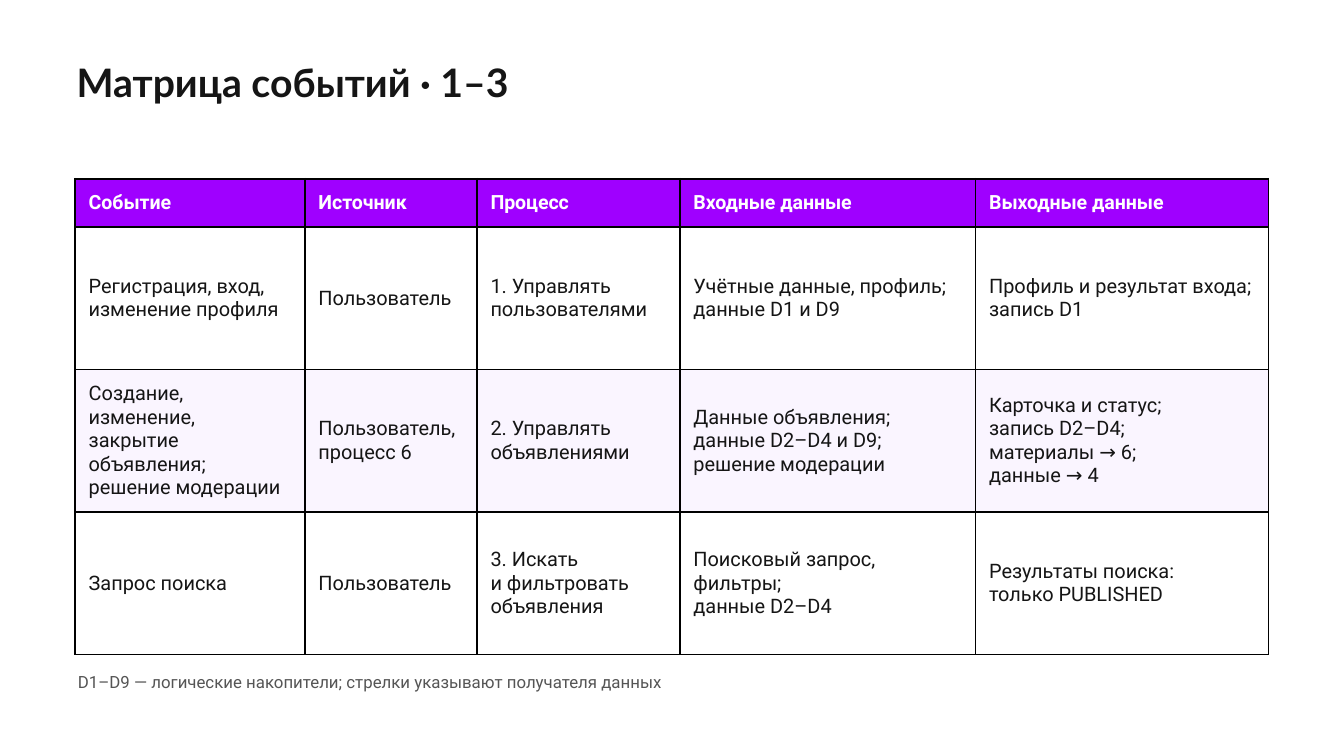
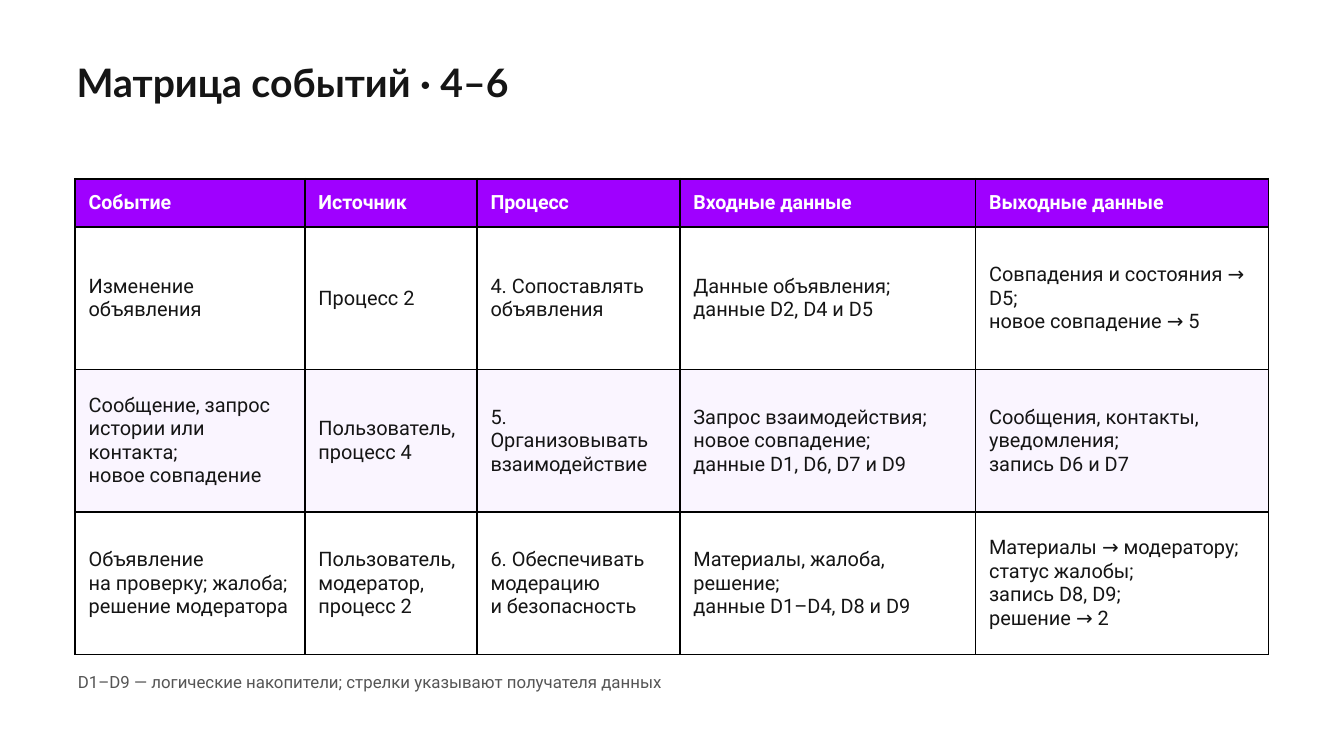
from lxml.etree import SubElement
from pptx import Presentation
from pptx.dml.color import RGBColor
from pptx.enum.text import MSO_ANCHOR, MSO_AUTO_SIZE, PP_ALIGN
from pptx.oxml.ns import qn
from pptx.util import Inches, Pt

# Shared style
HEAD_FONT, BODY_FONT = "Lato", "Roboto"
INK, WHITE, PURPLE, LILAC, GREY, BLACK = (
    "151515", "FFFFFF", "9F00FF", "FAF5FF", "555555", "000000")
COLS = [1.71, 1.28, 1.51, 2.2, 2.18]
ROWS = [0.36, 1.06, 1.06, 1.06]
HEADER = ["Событие", "Источник", "Процесс", "Входные данные", "Выходные данные"]
NOTE = "D1–D9 — логические накопители; стрелки указывают получателя данных"

# Slide content: title and table rows, one line of a cell per paragraph
SLIDES = [
    ("Матрица событий · 1–3", [
        ["Регистрация, вход,\nизменение профиля",
         "Пользователь",
         "1. Управлять\nпользователями",
         "Учётные данные, профиль;\nданные D1 и D9",
         "Профиль и результат входа;\nзапись D1"],
        ["Создание, изменение,\nзакрытие объявления;\nрешение модерации",
         "Пользователь,\nпроцесс 6",
         "2. Управлять\nобъявлениями",
         "Данные объявления;\nданные D2–D4 и D9;\nрешение модерации",
         "Карточка и статус;\nзапись D2–D4;\nматериалы → 6;\nданные → 4"],
        ["Запрос поиска",
         "Пользователь",
         "3. Искать\nи фильтровать\nобъявления",
         "Поисковый запрос, фильтры;\nданные D2–D4",
         "Результаты поиска:\nтолько PUBLISHED"],
    ]),
    ("Матрица событий · 4–6", [
        ["Изменение\nобъявления",
         "Процесс 2",
         "4. Сопоставлять\nобъявления",
         "Данные объявления;\nданные D2, D4 и D5",
         "Совпадения и состояния → D5;\nновое совпадение → 5"],
        ["Сообщение, запрос\nистории или контакта;\nновое совпадение",
         "Пользователь,\nпроцесс 4",
         "5. Организовывать\nвзаимодействие",
         "Запрос взаимодействия;\nновое совпадение;\nданные D1, D6, D7 и D9",
         "Сообщения, контакты,\nуведомления;\nзапись D6 и D7"],
        ["Объявление\nна проверку; жалоба;\nрешение модератора",
         "Пользователь,\nмодератор,\nпроцесс 2",
         "6. Обеспечивать\nмодерацию\nи безопасность",
         "Материалы, жалоба, решение;\nданные D1–D4, D8 и D9",
         "Материалы → модератору;\nстатус жалобы;\nзапись D8, D9;\nрешение → 2"],
    ]),
]


def rgb(value):
    return RGBColor.from_string(value)


def write(tf, text, font, size, color, bold=False):
    tf.word_wrap = True
    tf.vertical_anchor = MSO_ANCHOR.MIDDLE
    for i, line in enumerate(text.split("\n")):
        p = tf.add_paragraph() if i else tf.paragraphs[0]
        p.alignment = PP_ALIGN.LEFT
        r = p.add_run()
        r.text = line
        r.font.name, r.font.size, r.font.bold = font, Pt(size), bold
        r.font.color.rgb = rgb(color)


# 16:9 slide
prs = Presentation()
prs.slide_width = Inches(10)
prs.slide_height = prs.slide_width * 9 // 16

for title, body in SLIDES:
    s = prs.slides.add_slide(prs.slide_layouts[5])
    s.background.fill.solid()
    s.background.fill.fore_color.rgb = rgb(WHITE)

    # Title
    sp = s.shapes.title
    sp.left, sp.top, sp.width, sp.height = map(Inches, (0.57, 0.29, 7.19, 0.64))

    # Event table
    table = s.shapes.add_table(len(ROWS), len(COLS), Inches(0.56), Inches(1.33),
                               Inches(sum(COLS)), Inches(sum(ROWS))).table
    for col, width in zip(table.columns, COLS):
        col.width = Inches(width)
    for row, height in zip(table.rows, ROWS):
        row.height = Inches(height)
    for i, texts in enumerate([HEADER] + body):
        for j, text in enumerate(texts):
            cell = table.cell(i, j)
            cell.vertical_anchor = MSO_ANCHOR.MIDDLE
            if i == 0:
                write(cell.text_frame, text, BODY_FONT, 10.5, WHITE, True)
            else:
                write(cell.text_frame, text, BODY_FONT, 10.7, INK)
            # Borders go before the fill
            tcPr = cell._tc.get_or_add_tcPr()
            for side in ("a:lnL", "a:lnR", "a:lnT", "a:lnB"):
                ln = SubElement(tcPr, qn(side), w=str(Pt(1)))
                fill = SubElement(ln, qn("a:solidFill"))
                SubElement(fill, qn("a:srgbClr"), val=BLACK)
            cell.fill.solid()
            cell.fill.fore_color.rgb = rgb(
                PURPLE if i == 0 else LILAC if i == 2 else WHITE)

    # Footnote, and text of title and footnote
    note = s.shapes.add_textbox(*map(Inches, (0.58, 4.97, 8.82, 0.2)))
    for tf in (sp.text_frame, note.text_frame):
        tf.auto_size = MSO_AUTO_SIZE.NONE
        tf.margin_left = tf.margin_right = tf.margin_top = tf.margin_bottom = 0
    write(sp.text_frame, title, HEAD_FONT, 21, INK, True)
    write(note.text_frame, NOTE, BODY_FONT, 9, GREY)

prs.save("out.pptx")
